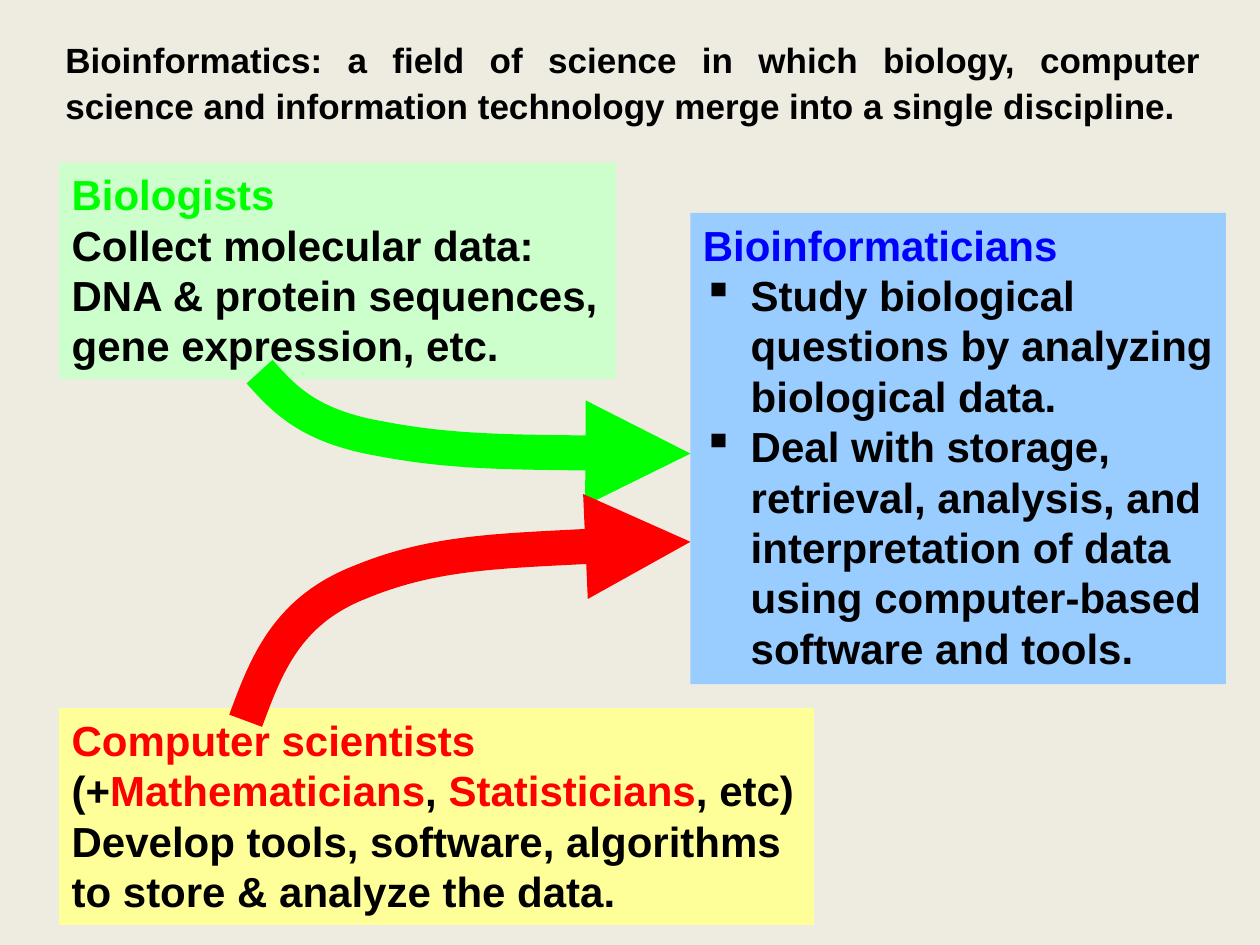
"""Build a slide showing how biologists and computer scientists feed bioinformatics."""
import lxml.etree
import pptx
import pptx.dml.color
import pptx.enum.shapes
import pptx.enum.text
import pptx.oxml.ns
import pptx.util

THEME = dict(
    font="Arial", title=20, body=24, arrow=20,
    background="EEECE1", ink="000000", biology="00FF00", computing="FF0000",
    informatics="0000FF", mint="CCFFCC", lemon="FFFF99", sky="99CCFF",
)
COLUMNS = 1000

prs = pptx.Presentation()
prs.slide_width, prs.slide_height = pptx.util.Inches(10), pptx.util.Inches(7.5)
UNIT = prs.slide_width // COLUMNS
s = prs.slides.add_slide(prs.slide_layouts[6])
qn = pptx.oxml.ns.qn


def color(name):
    return pptx.dml.color.RGBColor.from_string(THEME[name])


def write(sp, paragraphs, size, wrap=True):
    tf = sp.text_frame
    tf.word_wrap = wrap
    tf.vertical_anchor = pptx.enum.text.MSO_ANCHOR.TOP
    tf.auto_size = pptx.enum.text.MSO_AUTO_SIZE.SHAPE_TO_FIT_TEXT
    for i, runs in enumerate(paragraphs):
        p = tf.paragraphs[0] if i == 0 else tf.add_paragraph()
        p.alignment = pptx.enum.text.PP_ALIGN.LEFT
        p.font.name, p.font.size, p.font.bold = THEME["font"], pptx.util.Pt(THEME[size]), True
        for text, ink in runs:
            for j, line in enumerate(text.split("\n")):
                if j:
                    p.add_line_break()
                r = p.add_run()
                r.text = line
                r.font.color.rgb = color(ink)
    return tf


s.background.fill.solid()
s.background.fill.fore_color.rgb = color("background")

boxes = [
    ((47, 129, 442, 172), "mint", False, [
        [("Biologists", "biology")],
        [("Collect molecular data:", "ink")],
        [("DNA & protein sequences,", "ink")],
        [("gene expression, etc.", "ink")],
    ]),
    ((47, 562, 599, 172), "lemon", False, [
        [("Computer scientists", "computing")],
        [("(+", "ink"), ("Mathematicians", "computing"), (", ", "ink"),
         ("Statisticians", "computing"), (", etc)", "ink")],
        [("Develop tools, software, algorithms \nto store & analyze the data.", "ink")],
    ]),
    ((548, 169, 425, 374), "sky", True, [
        [("Bioinformaticians", "informatics")],
        [("Study biological questions by analyzing biological data.", "ink")],
        [("Deal with storage, retrieval, analysis, and interpretation of data "
          "using computer-based software and tools.", "ink")],
    ]),
]
for place, fill, wrap, paragraphs in boxes:
    sp = s.shapes.add_shape(pptx.enum.shapes.MSO_SHAPE.RECTANGLE, *(n * UNIT for n in place))
    sp.shadow.inherit = False
    sp.fill.solid()
    sp.fill.fore_color.rgb = color(fill)
    sp.line.fill.background()
    tf = write(sp, paragraphs, "body", wrap)

indent = pptx.util.Inches(0.38)
for p in tf.paragraphs[1:]:
    pPr = p._p.get_or_add_pPr()
    pPr.set("marL", str(indent))
    pPr.set("indent", str(-indent))
    bullet = lxml.etree.Element(qn("a:buChar"), char="▪")
    pPr.find(qn("a:defRPr")).addprevious(bullet)

arrows = [
    ("biology", (206, 295), [[(225, 316), (244, 338), (301, 348)],
                             [(358, 359), (453, 360), (548, 360)]]),
    ("computing", (195, 572), [[(211, 529), (227, 485), (286, 462)],
                               [(344, 438), (446, 434), (548, 430)]]),
]
for ink, start, curves in arrows:
    builder = s.shapes.build_freeform(*start, scale=UNIT)
    builder.add_line_segments([curve[-1] for curve in curves], close=False)
    sp = builder.convert_to_shape()
    sp.shadow.inherit = False
    sp.fill.background()
    sp.line.color.rgb = color(ink)
    sp.line.width = pptx.util.Pt(THEME["arrow"])
    lxml.etree.SubElement(sp.line._get_or_add_ln(), qn("a:tailEnd"), type="triangle")
    left, top = sp.left // UNIT, sp.top // UNIT
    for segment, curve in zip(list(sp._element.iter(qn("a:lnTo"))), curves):
        bezier = lxml.etree.Element(qn("a:cubicBezTo"))
        for x, y in curve:
            lxml.etree.SubElement(bezier, qn("a:pt"), x=str(x - left), y=str(y - top))
        segment.getparent().replace(segment, bezier)

sp = s.shapes.add_textbox(*(n * UNIT for n in (42, 22, 921, 81)))
tf = write(sp, [[("Bioinformatics: a field of science in which biology, computer science and "
                  "information technology merge into a single discipline.", "ink")]], "title")
p = tf.paragraphs[0]
p.alignment = pptx.enum.text.PP_ALIGN.JUSTIFY
p.line_spacing = 1.1

prs.save("out.pptx")
